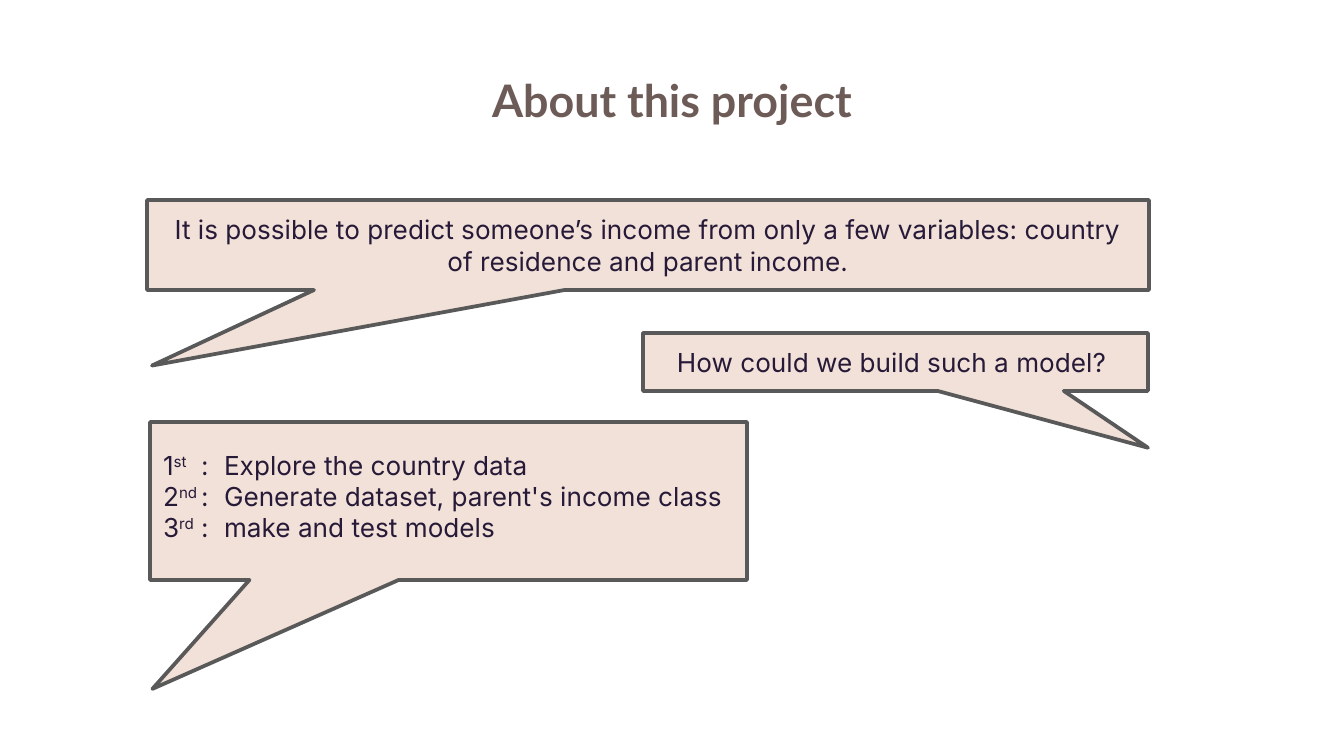
import pptx
import pptx.util
import pptx.dml.color
import pptx.enum.shapes
import pptx.enum.text
from lxml import etree
import pptx.oxml.ns

EMU_PER_PX = 914400 / 134.4
INK, TITLE_INK = "271A38", "6D5B57"
BUBBLE, OUTLINE = "F2E1D8", "595959"
ALIGN = pptx.enum.text.PP_ALIGN
ANCHOR = pptx.enum.text.MSO_ANCHOR


def px(length):
    return pptx.util.Emu(round(length * EMU_PER_PX))


def color(value):
    return pptx.dml.color.RGBColor.from_string(value)


def place(shape, left, top, width, height):
    shape.left, shape.top = px(left), px(top)
    shape.width, shape.height = px(width), px(height)


def set_margins(frame, left, top, right, bottom):
    frame.margin_left, frame.margin_top = px(left), px(top)
    frame.margin_right, frame.margin_bottom = px(right), px(bottom)


def format_span(span, size, font, ink, bold=False):
    span.font.size = pptx.util.Pt(size)
    span.font.name = font
    span.font.bold = bold
    span.font.color.rgb = color(ink)


def add_title(page, text):
    title = page.shapes.title
    place(title, 67, 60, 1210, 85)
    frame = title.text_frame
    frame.text = text
    frame.auto_size = pptx.enum.text.MSO_AUTO_SIZE.NONE
    frame.vertical_anchor = ANCHOR.TOP
    set_margins(frame, 13, 13, 13, 13)
    para = frame.paragraphs[0]
    para.alignment = ALIGN.CENTER
    format_span(para.runs[0], 24, "Lato", TITLE_INK, bold=True)


def add_bubble(page, bounds, tip):
    """Add a speech bubble; tip is its offset from the centre, as shares of the size."""
    kind = pptx.enum.shapes.MSO_SHAPE.RECTANGULAR_CALLOUT
    bubble = page.shapes.add_shape(kind, *map(px, bounds))
    bubble.adjustments[0], bubble.adjustments[1] = tip
    bubble.shadow.inherit = False
    bubble.fill.solid()
    bubble.fill.fore_color.rgb = color(BUBBLE)
    bubble.line.color.rgb = color(OUTLINE)
    bubble.line.width = pptx.util.Pt(2)
    bubble.text_frame.word_wrap = True
    return bubble


def add_statement(page, bounds, tip, text):
    frame = add_bubble(page, bounds, tip).text_frame
    frame.text = text
    frame.vertical_anchor = ANCHOR.MIDDLE
    para = frame.paragraphs[0]
    para.alignment = ALIGN.CENTER
    format_span(para.runs[0], 14, "Inter", INK)


def set_tabs(para, positions):
    tabs = etree.SubElement(para._p.get_or_add_pPr(), pptx.oxml.ns.qn("a:tabLst"))
    for position in positions:
        etree.SubElement(tabs, pptx.oxml.ns.qn("a:tab"), pos=str(px(position)), algn="l")


def add_steps(page, bounds, tip, steps):
    frame = add_bubble(page, bounds, tip).text_frame
    frame.vertical_anchor = ANCHOR.TOP
    set_margins(frame, 13, 27, 13, 7)
    for number, (suffix, step) in enumerate(steps, 1):
        para = frame.paragraphs[0] if number == 1 else frame.add_paragraph()
        para.alignment = ALIGN.LEFT
        set_tabs(para, (38, 61))
        for text in (str(number), suffix, f"\t:\t{step}"):
            span = para.add_run()
            span.text = text
            format_span(span, 14, "Inter", INK)
        # Raise the ordinal ending
        para.runs[1].font._element.set("baseline", "30000")


def main():
    deck = pptx.Presentation()
    deck.slide_width, deck.slide_height = px(1344), px(756)
    page = deck.slides.add_slide(deck.slide_layouts[5])

    add_title(page, "About this project")

    # Claim and question
    add_statement(page, (147, 200, 1002, 90), (-0.495, 1.34),
                  "It is possible to predict someone’s income from only a few "
                  "variables: country of residence and parent income.")
    add_statement(page, (643, 333, 505, 58), (0.5, 1.48),
                  "How could we build such a model? ")

    # Answer in three steps
    add_steps(page, (150, 422, 597, 158), (-0.496, 1.19), [
        ("st", "Explore the country data"),
        ("nd", "Generate dataset, parent's income class"),
        ("rd", "make and test models"),
    ])

    deck.save("out.pptx")


if __name__ == "__main__":
    main()
